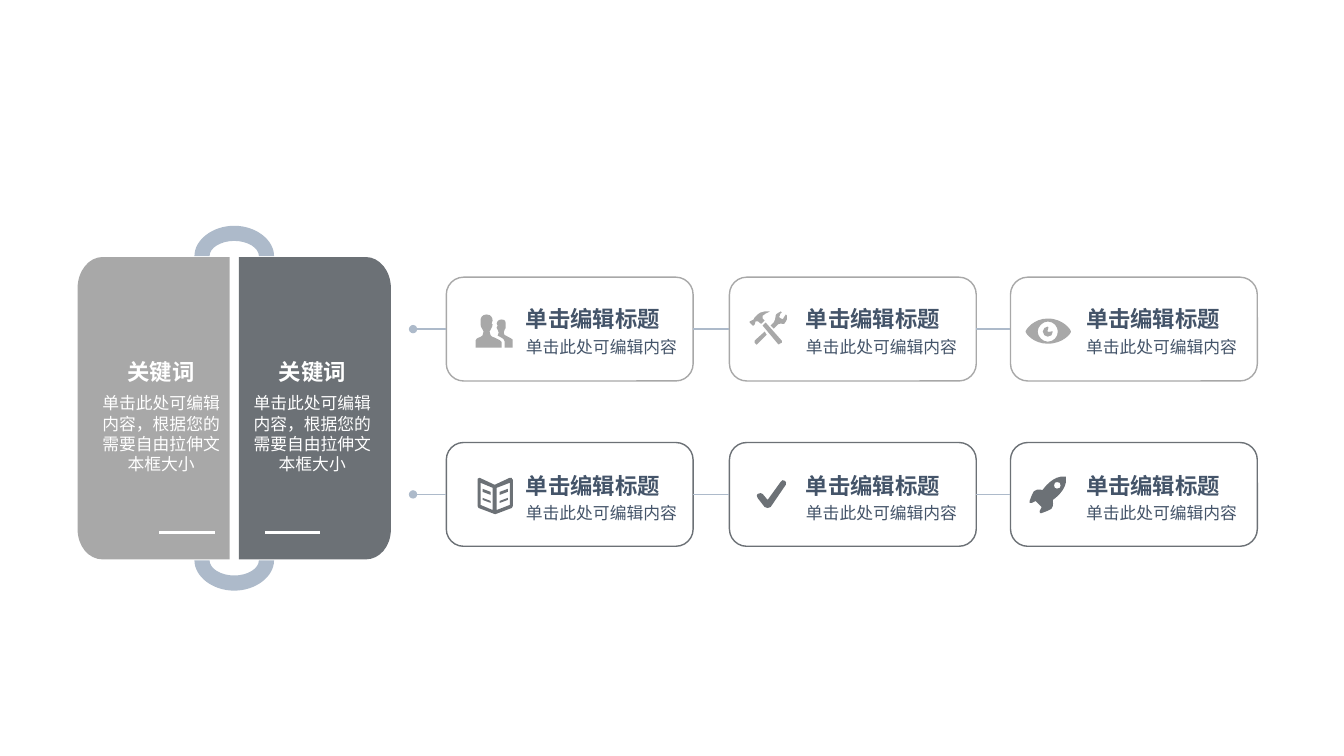
from dataclasses import dataclass
from lxml.etree import SubElement
from pptx import Presentation
from pptx.dml.color import RGBColor
from pptx.enum.shapes import MSO_CONNECTOR, MSO_SHAPE
from pptx.enum.text import MSO_AUTO_SIZE, PP_ALIGN
from pptx.oxml.ns import qn
from pptx.util import Inches, Pt


@dataclass(frozen=True)
class Theme:
    light: RGBColor = RGBColor.from_string("A8A8A8")
    dark: RGBColor = RGBColor.from_string("6C7176")
    accent: RGBColor = RGBColor.from_string("ADBACA")
    ink: RGBColor = RGBColor.from_string("445469")
    white: RGBColor = RGBColor.from_string("FFFFFF")
    font: str = "Arial"
    heading: int = 16
    body: int = 12


theme = Theme()
presentation = Presentation()
presentation.slide_width = Inches(13.34)
presentation.slide_height = Inches(7.5)
slide = presentation.slides.add_slide(presentation.slide_layouts[6])
shapes = slide.shapes

PANEL = "0,270 0,31 0,14,11,0,25,0 151,0 151,300 25,300 11,300,0,287,0,270"
HANDLE = "0,30 0,14,18,0,39.5,0 61,0,79,14,79,30 64,30 64,22,53,15,39.5,15 26,15,15,22,15,30"
PEOPLE = (
    "37,33 37,25 36,24,34,23,32,22 29,21,28,20,28,18 28,17,29,17,29,15 29,14,30,15,30,13 30,9 "
    "30,8,30,5,26,5 22,5,21,8,21,9 22,11 21,13 21,15,22,14,22,15 23,17,23,17,23,18 "
    "23,19,23,20,22,21 28,24,29,25,29,27 29,33 / "
    "19,23 15,22,14,20,14,17 14,16,15,16,16,13 16,12,17,13,17,10 16,9 17,6 17,4,16,0,11,0 "
    "6,0,5,4,5,6 5,10 5,13,6,12,6,13 7,16,8,16,8,17 8,20,7,22,3,23 2,24,0,24,0,26 0,33 26,33 "
    "26,28 26,26,23,25,19,23")
TOOLS = (
    "6,10 8,9,9,10,11,12 12,12 15,9 13,7 10,3,22,0,20,0 15,0 12,0,9,2,8,3 5,6 4,8 2,9 0,10 "
    "0,11 3,14 4,14 5,13 / 16,11 13,14 28,32 29,33,29,33,30,32 32,31 32,29 / "
    "37,4 36,3 34,6 34,7,33,9,31,7 29,6,29,5,30,4 30,3,31,1,32,1 31,0 30,1,26,2,26,4 "
    "25,7,26,9,24,11 21,14 24,17 27,14 28,13,29,12,31,12 34,13,36,12,36,10 37,8 / "
    "5,29 5,31 7,33 8,32 17,23 15,20")
EYE = (
    "22,0 8,0,0,11,0,13 0,15,8,25,22,25 37,25,45,15,45,13 45,11,37,0,22,0 / "
    "22,23 17,23,12,18,12,13 12,8,17,3,22,3 28,3,32,8,32,13 32,18,28,23,22,23 / "
    "22,13 21,12,24,8,22,8 20,8,17,10,17,13 17,16,20,18,22,18 25,18,27,16,27,13 27,12,23,14,22,13")
BOOK = (
    "13,23 5,20 5,22 13,25 / 13,14 5,11 5,14 13,17 / "
    "34,1 34,0 32,0 17,7 2,0 0,1 0,28 1,30 17,36 18,36 34,30 35,28 35,2 / "
    "15,32 3,27 3,5 15,10 / 32,27 19,32 19,10 32,5 / "
    "30,20 22,23 22,25 30,22 / 30,11 22,14 22,17 30,14")
CHECK = (
    "11,28 10,28,9,28,8,27 1,18 0,16,0,15,1,14 3,13,5,13,6,14 11,20 24,2 25,0,26,0,28,1 "
    "29,1,30,3,29,5 14,27 13,28,12,28,11,28")
ROCKET = (
    "24,25 24,25,39,15,37,3 37,2 36,2 24,0,14,15,14,15 4,14,5,16,1,26 0,28,1,28,3,28 7,26 "
    "13,32 11,36 11,38,11,39,13,38 23,34,25,35,24,25 / "
    "26,13 25,12,25,10,26,8 27,7,29,7,31,8 32,10,32,12,31,13 29,14,27,14,26,13")


def draw_outline(outline, left, top, color, flip_x=1, flip_y=1):
    builder = None
    segment_sizes = []
    for contour in outline.split("/"):
        points = []
        for segment in contour.split():
            numbers = [float(number) for number in segment.split(",")]
            if points:
                segment_sizes.append(len(numbers) // 2)
            points += [(Inches(left + flip_x * x / 100), Inches(top + flip_y * y / 100))
                       for x, y in zip(numbers[::2], numbers[1::2])]
        if builder is None:
            builder = shapes.build_freeform(*points[0])
        else:
            builder.move_to(*points[0])
        builder.add_line_segments(points[1:], close=True)
    shape = builder.convert_to_shape()
    lines = iter(list(shape._element.iter(qn("a:lnTo"))))
    for size in segment_sizes:
        curve, *controls = [next(lines) for _ in range(size)]
        if controls:
            curve.tag = qn("a:cubicBezTo")
        for control in controls:
            curve.append(control[0])
            control.getparent().remove(control)
    shape.shadow.inherit = False
    shape.fill.solid()
    shape.fill.fore_color.rgb = color
    shape.line.fill.background()


def add_text(text, left, top, width, height, size, color, alignment):
    shape = shapes.add_textbox(Inches(left), Inches(top), Inches(width), Inches(height))
    frame = shape.text_frame
    frame.word_wrap = True
    frame.auto_size = MSO_AUTO_SIZE.SHAPE_TO_FIT_TEXT
    frame.margin_left = frame.margin_right = frame.margin_top = frame.margin_bottom = 0
    frame.text = text
    paragraph = frame.paragraphs[0]
    paragraph.alignment = alignment
    paragraph.space_before = Pt(size / 4)
    font = paragraph.runs[0].font
    font.name = theme.font
    font.size = Pt(size)
    font.bold = size == theme.heading
    font.color.rgb = color


connectors = []
panel_left, panel_right, panel_top = 0.77, 3.88, 2.55
center = (panel_left + panel_right) / 2
for edge, side, color, text_center in ((panel_left, 1, theme.light, 1.6), (panel_right, -1, theme.dark, 3.1)):
    draw_outline(PANEL, edge, panel_top, color, flip_x=side)
    add_text("关键词", text_center - 1.28, 3.55, 2.56, 0.27, theme.heading, theme.white, PP_ALIGN.CENTER)
    add_text("单击此处可编辑内容，根据您的需要自由拉伸文本框大小", text_center - 0.62, 3.9, 1.24, 0.8,
             theme.body, theme.white, PP_ALIGN.CENTER)
    dash_left = edge + 0.81 if side == 1 else edge - 1.25
    dash = shapes.add_connector(MSO_CONNECTOR.STRAIGHT, Inches(dash_left), Inches(5.28),
                                Inches(dash_left + 0.55), Inches(5.28))
    connectors.append((dash, theme.white, 2.25))
for top, direction in ((2.24, 1), (5.86, -1)):
    draw_outline(HANDLE, center - 0.395, top, theme.accent, flip_y=direction)

box_lefts = (4.43, 7.24, 10.03)
box_width, box_height = 2.45, 1.03
rows = (
    (theme.light, ((PEOPLE, 4.72, 3.12), (TOOLS, 7.44, 3.09), (EYE, 10.18, 3.16))),
    (theme.dark, ((BOOK, 4.74, 4.74), (CHECK, 7.51, 4.76), (ROCKET, 10.21, 4.71))),
)
for row, (color, icons) in enumerate(rows):
    box_top = 2.75 + 1.64 * row
    text_top = 3.03 + 1.65 * row
    previous_box = None
    for column, (icon, icon_left, icon_top) in enumerate(icons):
        box_left = box_lefts[column]
        box = shapes.add_shape(MSO_SHAPE.ROUNDED_RECTANGLE, Inches(box_left), Inches(box_top),
                               Inches(box_width), Inches(box_height))
        box.shadow.inherit = False
        box.fill.background()
        box.line.color.rgb = color
        box.line.width = Pt(1)
        middle = Inches(box_top + box_height / 2)
        link = shapes.add_connector(MSO_CONNECTOR.STRAIGHT, Inches(box_left), middle,
                                    Inches(box_left - 0.33), middle)
        link.begin_connect(box, 1)
        connectors.append((link, theme.accent, 1))
        if previous_box is None:
            SubElement(link.line._get_or_add_ln(), qn("a:tailEnd"), type="oval")
        else:
            link.end_connect(previous_box, 3)
        previous_box = box
        draw_outline(icon, icon_left, icon_top, color)
        text_left = 5.22 + 2.78 * column
        add_text("单击编辑标题", text_left, text_top, 1.51, 0.27, theme.heading, theme.ink, PP_ALIGN.LEFT)
        add_text("单击此处可编辑内容", text_left, text_top + 0.31, 1.71, 0.2, theme.body, theme.ink, PP_ALIGN.LEFT)

for connector, color, width in connectors:
    connector.line.color.rgb = color
    connector.line.width = Pt(width)
    SubElement(connector._element.spPr, qn("a:effectLst"))

presentation.save("out.pptx")
